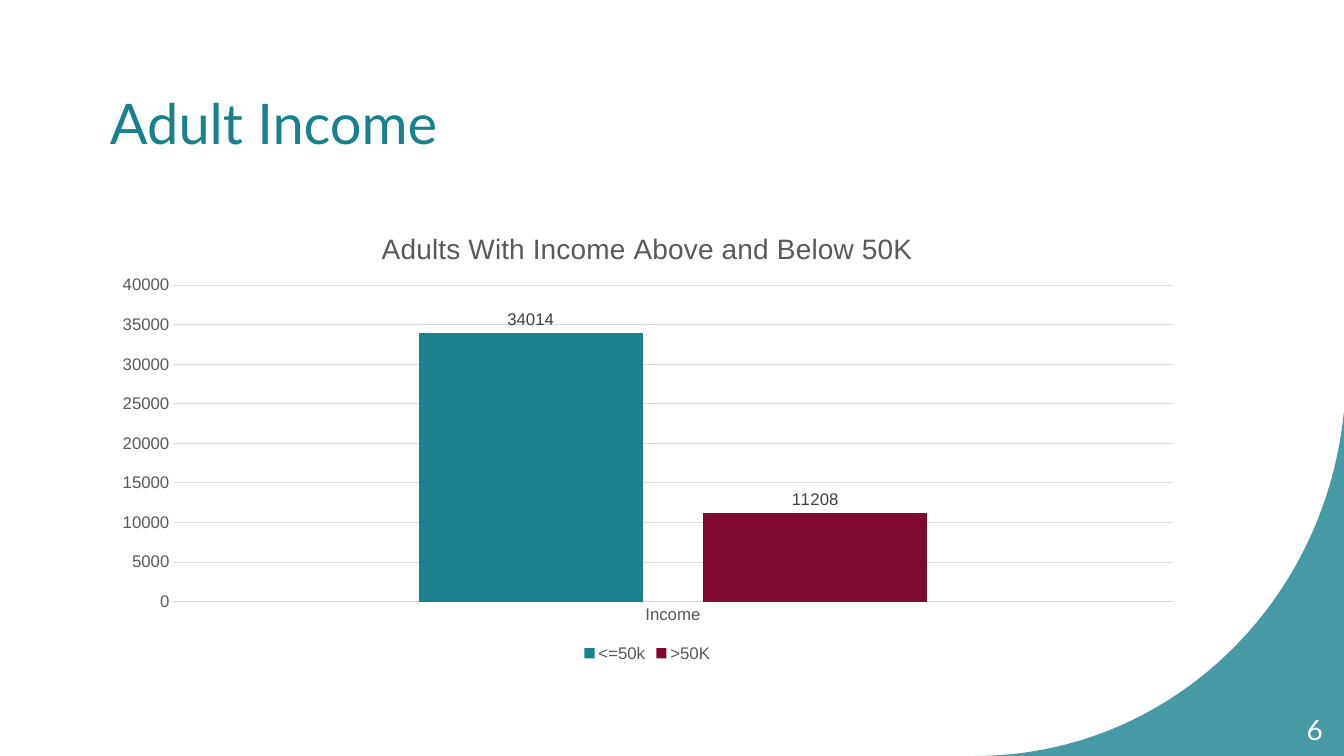
from dataclasses import dataclass

from lxml import etree
from pptx import Presentation
from pptx.chart.chart import Chart
from pptx.chart.data import CategoryChartData
from pptx.chart.series import BarSeries
from pptx.dml.color import RGBColor
from pptx.enum.chart import XL_CHART_TYPE, XL_LABEL_POSITION, XL_LEGEND_POSITION, XL_TICK_MARK
from pptx.enum.text import MSO_ANCHOR, MSO_AUTO_SIZE, PP_ALIGN
from pptx.oxml.ns import qn
from pptx.slide import Slide
from pptx.text.text import Font, TextFrame
from pptx.util import Inches, Pt

COLUMNS = XL_CHART_TYPE.COLUMN_CLUSTERED
OUTSIDE_END = XL_LABEL_POSITION.OUTSIDE_END
LEGEND_BOTTOM = XL_LEGEND_POSITION.BOTTOM
NO_TICKS = XL_TICK_MARK.NONE
MIDDLE = MSO_ANCHOR.MIDDLE
NO_AUTOFIT = MSO_AUTO_SIZE.NONE
LEFT, RIGHT = PP_ALIGN.LEFT, PP_ALIGN.RIGHT
TITLE_ONLY_LAYOUT = 5


@dataclass(frozen=True)
class Theme:
    teal: str = "18818C"
    maroon: str = "800A2F"
    white: str = "FFFFFF"
    grid: str = "D9D9D9"
    axis_text: str = "595959"
    label_text: str = "404040"
    text_font: str = "Lato"
    chart_font: str = "Arial"
    title_size: float = 40
    number_size: float = 20
    chart_title_size: float = 20
    chart_text_size: float = 12
    hairline: float = 0.75


@dataclass(frozen=True)
class Box:
    left: float
    top: float
    width: float
    height: float

    def inches(self) -> tuple[Inches, ...]:
        return tuple(Inches(v) for v in (self.left, self.top, self.width, self.height))


@dataclass(frozen=True)
class IncomeGroup:
    name: str
    adults: int
    color: str


THEME = Theme()
TITLE_BOX = Box(0.99, 0.49, 10.84, 1.45)
CHART_BOX = Box(1, 2.1, 10.84, 4.51)
PLOT_BOX = Box(1.72, 2.83, 9.91, 3.14)
NUMBER_BOX = Box(12.46, 7.04, 0.76, 0.4)
CORNER_CURVE = ((9.67, 7.5), (11.57, 7.5), (13.14, 6.02), (13.33, 4.08))
CORNER_POINT = (13.33, 7.5)
CURVE_STEPS = 60
INCOME_GROUPS = (
    IncomeGroup("<=50k", 34014, THEME.teal),
    IncomeGroup(">50K", 11208, THEME.maroon),
)


def style_font(font: Font, name: str, size: float, color: str) -> None:
    font.name = name
    font.size = Pt(size)
    font.bold = False
    font.color.rgb = RGBColor.from_string(color)


def write_line(frame: TextFrame, text: str, size: float, color: str, align: PP_ALIGN) -> None:
    frame.text = text
    frame.word_wrap = True
    frame.auto_size = NO_AUTOFIT
    frame.vertical_anchor = MIDDLE
    paragraph = frame.paragraphs[0]
    paragraph.alignment = align
    style_font(paragraph.font, THEME.text_font, size, color)


def bezier_point(t: float) -> tuple[float, float]:
    weights = ((1 - t) ** 3, 3 * t * (1 - t) ** 2, 3 * t**2 * (1 - t), t**3)
    x, y = (sum(w * p[axis] for w, p in zip(weights, CORNER_CURVE)) for axis in (0, 1))
    return x, y


def add_corner(slide: Slide) -> None:
    """Fill the area between the curve and the lower right slide corner."""
    curve = [bezier_point(step / CURVE_STEPS) for step in range(CURVE_STEPS + 1)]
    start, *outline = [(Inches(x), Inches(y)) for x, y in (*curve, CORNER_POINT)]
    builder = slide.shapes.build_freeform(*start)
    builder.add_line_segments(outline, close=True)
    corner = builder.convert_to_shape()
    corner.shadow.inherit = False
    corner.line.fill.background()
    corner.fill.solid()
    corner.fill.fore_color.rgb = RGBColor.from_string(THEME.teal)
    color = corner.fill._xPr.find(qn("a:solidFill"))[0]
    etree.SubElement(color, qn("a:alpha"), val="80000")


def add_title(slide: Slide) -> None:
    title = slide.shapes.title
    title.left, title.top, title.width, title.height = TITLE_BOX.inches()
    write_line(title.text_frame, "Adult Income", THEME.title_size, THEME.teal, LEFT)


def place_plot(chart: Chart) -> None:
    """Fix the inner plot area at PLOT_BOX, as fractions of the chart."""
    area = chart._chartSpace.chart.plotArea
    for layout in area.findall(qn("c:layout")):
        area.remove(layout)
    layout = etree.Element(qn("c:layout"))
    area.insert(0, layout)
    manual = etree.SubElement(layout, qn("c:manualLayout"))
    settings = {
        "layoutTarget": "inner",
        "xMode": "edge",
        "yMode": "edge",
        "x": (PLOT_BOX.left - CHART_BOX.left) / CHART_BOX.width,
        "y": (PLOT_BOX.top - CHART_BOX.top) / CHART_BOX.height,
        "w": PLOT_BOX.width / CHART_BOX.width,
        "h": PLOT_BOX.height / CHART_BOX.height,
    }
    for tag, value in settings.items():
        etree.SubElement(manual, qn(f"c:{tag}"), val=str(value))


def style_axes(chart: Chart) -> None:
    categories, values = chart.category_axis, chart.value_axis
    for axis in (categories, values):
        axis.major_tick_mark = axis.minor_tick_mark = NO_TICKS
        style_font(axis.tick_labels.font, THEME.chart_font, THEME.chart_text_size, THEME.axis_text)
    values.minimum_scale, values.maximum_scale, values.major_unit = 0, 40000, 5000
    values.format.line.fill.background()
    for line in (categories.format.line, values.major_gridlines.format.line):
        line.width = Pt(THEME.hairline)
        line.color.rgb = RGBColor.from_string(THEME.grid)


def style_series(series: BarSeries, group: IncomeGroup) -> None:
    series.format.fill.solid()
    series.format.fill.fore_color.rgb = RGBColor.from_string(group.color)
    labels = series.data_labels
    labels.show_value = True
    labels.position = OUTSIDE_END
    style_font(labels.font, THEME.chart_font, THEME.chart_text_size, THEME.label_text)


def add_income_chart(slide: Slide) -> None:
    data = CategoryChartData()
    data.categories = ["Income"]
    for group in INCOME_GROUPS:
        data.add_series(group.name, [group.adults])
    chart = slide.shapes.add_chart(COLUMNS, *CHART_BOX.inches(), data).chart
    style_font(chart.font, THEME.chart_font, THEME.chart_text_size, THEME.axis_text)

    heading = chart.chart_title.text_frame
    heading.text = "Adults With Income Above and Below 50K"
    style_font(heading.paragraphs[0].font, THEME.chart_font, THEME.chart_title_size, THEME.axis_text)
    chart.chart_title.include_in_layout = False

    chart.has_legend = True
    chart.legend.position = LEGEND_BOTTOM
    chart.legend.include_in_layout = False
    style_font(chart.legend.font, THEME.chart_font, THEME.chart_text_size, THEME.axis_text)

    plot = chart.plots[0]
    plot.gap_width, plot.overlap, plot.vary_by_categories = 219, -27, False
    for series, group in zip(plot.series, INCOME_GROUPS):
        style_series(series, group)
    style_axes(chart)
    place_plot(chart)


def add_slide_number(slide: Slide) -> None:
    number = slide.shapes.add_textbox(*NUMBER_BOX.inches())
    write_line(number.text_frame, "6", THEME.number_size, THEME.white, RIGHT)


def main() -> None:
    deck = Presentation()
    deck.slide_width, deck.slide_height = Inches(13.33), Inches(7.5)
    slide = deck.slides.add_slide(deck.slide_layouts[TITLE_ONLY_LAYOUT])
    add_corner(slide)
    add_title(slide)
    add_income_chart(slide)
    add_slide_number(slide)
    deck.save("out.pptx")


if __name__ == "__main__":
    main()
